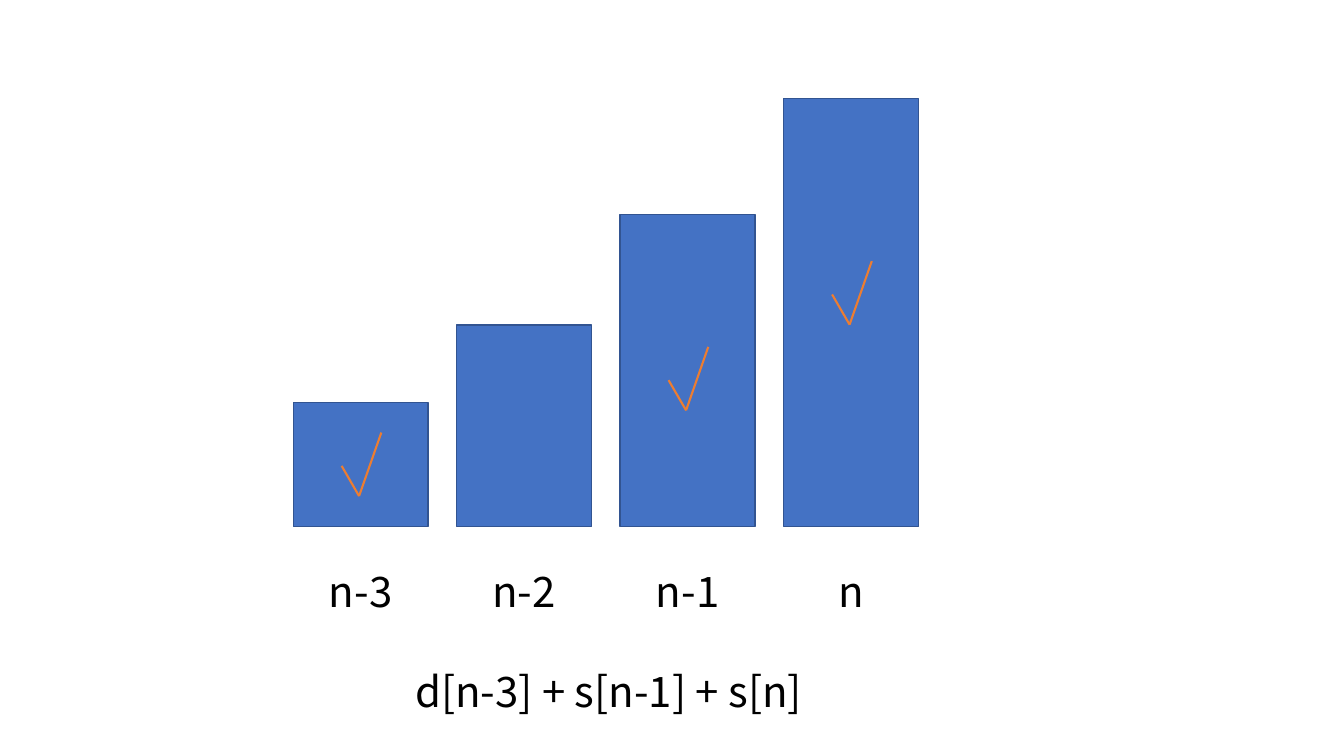
from lxml import etree
from pptx import Presentation
from pptx.dml.color import RGBColor
from pptx.enum.shapes import MSO_CONNECTOR, MSO_SHAPE
from pptx.enum.text import MSO_AUTO_SIZE, PP_ALIGN
from pptx.oxml.ns import qn
from pptx.util import Cm, Pt

RECT = MSO_SHAPE.RECTANGLE
LINE = MSO_CONNECTOR.STRAIGHT
LEFT, CENTER = PP_ALIGN.LEFT, PP_ALIGN.CENTER
GROW = MSO_AUTO_SIZE.SHAPE_TO_FIT_TEXT
FONT = "Noto Sans CJK KR"
COLORS = {"bar": "4472C4", "edge": "325491", "tick": "ED7D31", "text": "000000"}

# All lengths in centimetres
START, STEP, WIDTH, BASE = 7.39, 4.12, 3.4, 13.27
LABEL_WIDTH, LABEL_TOP = 2.16, 14.12
TICK_INSET = 1.22
# Label, bar height, top of tick (None for a step that is skipped)
STEPS = [
    ("n-3", 3.12, 10.9),
    ("n-2", 5.08, None),
    ("n-1", 7.87, 8.74),
    ("n", 10.78, 6.58),
]


def color(name):
    """Return the named colour."""
    return RGBColor.from_string(COLORS[name])


def add_bar(slide, left, height):
    """Draw one stair bar standing on the base line."""
    bar = slide.shapes.add_shape(
        RECT, Cm(left), Cm(BASE - height), Cm(WIDTH), Cm(height))
    bar.shadow.inherit = False
    bar.fill.solid()
    bar.fill.fore_color.rgb = color("bar")
    bar.line.color.rgb = color("edge")
    bar.line.width = Pt(1)


def add_tick(slide, left, top):
    """Draw a tick as a group of two strokes that meet at its foot."""
    group = slide.shapes.add_group_shape()
    foot = left + 0.44, top + 1.6
    for x, y in ((left, top + 0.84), (left + 1, top)):
        stroke = group.shapes.add_connector(
            LINE, Cm(x), Cm(y), Cm(foot[0]), Cm(foot[1]))
        stroke.line.color.rgb = color("tick")
        stroke.line.width = Pt(1.5)
        etree.SubElement(stroke._element.spPr, qn("a:effectLst"))


def add_text(slide, text, left, top, width, align):
    """Add a one-line text box."""
    box = slide.shapes.add_textbox(Cm(left), Cm(top), Cm(width), Cm(1.56))
    frame = box.text_frame
    frame.word_wrap = True
    frame.auto_size = GROW
    para = frame.paragraphs[0]
    para.text = text
    para.alignment = align
    para.font.name = FONT
    para.font.size = Pt(30)
    para.font.color.rgb = color("text")


def main():
    """Build the stair slide and save it."""
    deck = Presentation()
    deck.slide_width, deck.slide_height = Cm(33.87), Cm(19.05)
    slide = deck.slides.add_slide(deck.slide_layouts[6])
    for index, (label, height, tick) in enumerate(STEPS):
        left = START + index * STEP
        add_bar(slide, left, height)
        add_text(slide, label, left + (WIDTH - LABEL_WIDTH) / 2,
                 LABEL_TOP, LABEL_WIDTH, CENTER)
        if tick is not None:
            add_tick(slide, left + TICK_INSET, tick)
    add_text(slide, "d[n-3] + s[n-1] + s[n]", 10.21, 16.64, 11.02, LEFT)
    deck.save("out.pptx")


main()
